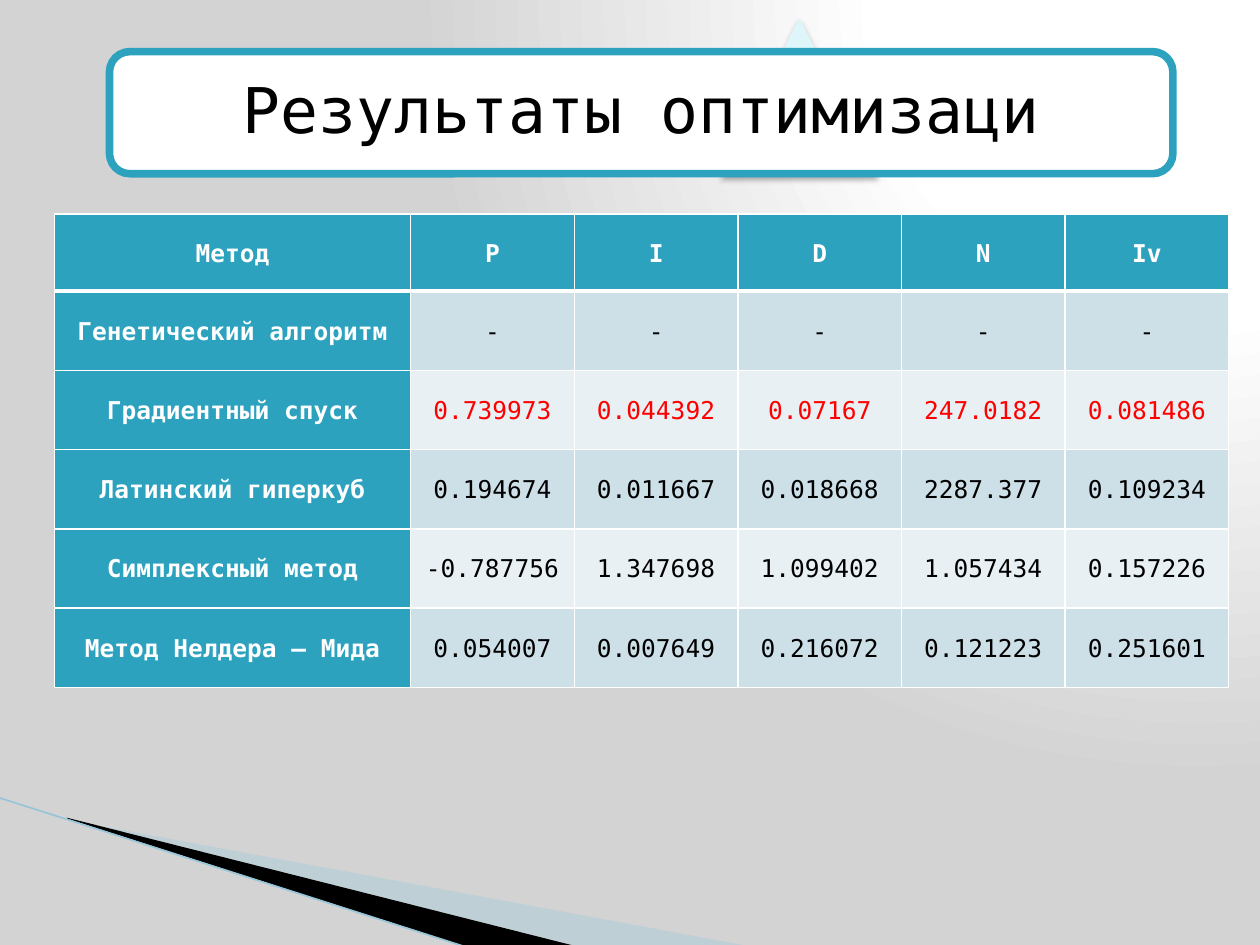
from pptx import Presentation
from pptx.dml.color import RGBColor
from pptx.enum.shapes import MSO_CONNECTOR, MSO_SHAPE as Preset
from pptx.enum.text import MSO_ANCHOR as Anchor, PP_ALIGN as Align
from pptx.oxml import parse_xml
from pptx.oxml.ns import nsdecls
from pptx.util import Pt

FACE = "DejaVu Sans Mono"
TEAL, WHITE, BLACK, RED = "2DA2BF", "FFFFFF", "000000", "FF0000"
BANDS = ["CDE0E8", "E8F0F4"]


def color(value):
    return RGBColor.from_string(value)


def write(frame, text, ink, line_spacing, margins, **font_format):
    frame.word_wrap = True
    paragraph = frame.paragraphs[0]
    paragraph.alignment = Align.CENTER
    paragraph.line_spacing = line_spacing
    run = paragraph.add_run()
    run.text = text
    for key, value in {"name": FACE, **font_format}.items():
        setattr(run.font, key, value)
    run.font.color.rgb = color(ink)
    for key, value in margins.items():
        setattr(frame, key, Pt(value))


prs = Presentation()
prs.slide_width, prs.slide_height = Pt(720), Pt(540)
slide = prs.slides.add_slide(prs.slide_layouts[6])
shapes = slide.shapes

# Background: white glow from the upper right into grey
backdrop = slide.background.fill
backdrop.solid()
backdrop.fore_color.rgb = color(WHITE)
bg_pr = slide.element.cSld.bg.bgPr
stops = "".join(
    f'<a:gs pos="{position * 1000}"><a:srgbClr val="{tone}"/></a:gs>'
    for position, tone in [(0, WHITE), (40, WHITE), (100, "D3D3D3")])
bg_pr.replace(bg_pr[0], parse_xml(
    f'<a:gradFill {nsdecls("a")} rotWithShape="1"><a:gsLst>{stops}</a:gsLst>'
    '<a:path path="circle"><a:fillToRect l="95000" t="-106000" r="5000" b="206000"/>'
    '</a:path></a:gradFill>'))

# Corner wedges
wedges = [
    ("A0CBDC", 40, [(39.6, 468.7), (428.4, 540.7), (328.3, 540.7), (39.6, 468)]),
    (BLACK, 100, [(38.2, 467.3), (329, 540.7), (267.8, 541.4), (38.9, 468)]),
]
for tone, opacity, corners in wedges:
    (start, *rest) = [(Pt(x), Pt(y)) for x, y in corners]
    outline = shapes.build_freeform(*start)
    outline.add_line_segments(rest, close=True)
    wedge = outline.convert_to_shape()
    wedge.shadow.inherit = False
    wedge.fill.solid()
    wedge.fill.fore_color.rgb = color(tone)
    wedge.line.fill.background()
    if opacity < 100:
        wedge.fill._xPr.solidFill[0].append(
            parse_xml(f'<a:alpha {nsdecls("a")} val="{opacity * 1000}"/>'))

# Thin edge line along the wedges
edge = shapes.add_connector(MSO_CONNECTOR.STRAIGHT, Pt(-0.7), Pt(455.8), Pt(267.1), Pt(541.4))
edge.line.color.rgb = color("97C5D8")
edge.line.width = Pt(0.95)
edge._element.spPr.append(parse_xml(f'<a:effectLst {nsdecls("a")}/>'))

# Results table
results = [
    ["Метод", "P", "I", "D", "N", "Iv"],
    ["Генетический алгоритм", "-", "-", "-", "-", "-"],
    ["Градиентный спуск", "0.739973", "0.044392", "0.07167", "247.0182", "0.081486"],
    ["Латинский гиперкуб", "0.194674", "0.011667", "0.018668", "2287.377", "0.109234"],
    ["Симплексный метод", "-0.787756", "1.347698", "1.099402", "1.057434", "0.157226"],
    ["Метод Нелдера – Мида", "0.054007", "0.007649", "0.216072", "0.121223", "0.251601"],
]
best_row = 2
column_widths = [203.5] + [93.5] * 5
row_heights = [43.9] + [45.3] * 5
table = shapes.add_table(len(results), len(column_widths), Pt(31.2), Pt(122.4),
                         Pt(sum(column_widths)), Pt(sum(row_heights))).table
for column, width in zip(table.columns, column_widths):
    column.width = Pt(width)
for row, height in zip(table.rows, row_heights):
    row.height = Pt(height)

cell_margins = {}
for r, values in enumerate(results):
    for c, value in enumerate(values):
        cell = table.cell(r, c)
        heading = r == 0 or c == 0
        ink = WHITE if heading else RED if r == best_row else BLACK
        write(cell.text_frame, value, ink, 1.07, cell_margins, size=Pt(14), bold=heading)
        cell.vertical_anchor = Anchor.MIDDLE
        cell.margin_left = cell.margin_right = Pt(5)
        cell.margin_top = cell.margin_bottom = Pt(0)
        # White rules, heavier under the header row
        for side in "LRTB":
            weight = 3 if (r, side) in [(0, "B"), (1, "T")] else 1
            cell._tc.get_or_add_tcPr().append(parse_xml(
                f'<a:ln{side} {nsdecls("a")} w="{Pt(weight)}"><a:solidFill>'
                f'<a:srgbClr val="{WHITE}"/></a:solidFill></a:ln{side}>'))
        cell.fill.solid()
        cell.fill.fore_color.rgb = color(TEAL if heading else BANDS[(r - 1) % 2])

# Title plate over a pale triangle
plates = [
    (Preset.ISOSCELES_TRIANGLE, (411.8, 10.1, 90, 90), "DEF5FA", None),
    (Preset.ROUNDED_RECTANGLE, (62.6, 29.5, 607.7, 69.8), WHITE, TEAL),
]
for preset, box, tone, border in plates:
    plate = shapes.add_shape(preset, *map(Pt, box))
    plate.shadow.inherit = False
    plate.fill.solid()
    plate.fill.fore_color.rgb = color(tone)
    if border:
        plate.line.color.rgb = color(border)
        plate.line.width = Pt(4.33)
    else:
        plate.line.fill.background()
        plate._element.spPr.find(".//{*}effectLst").append(parse_xml(
            f'<a:outerShdw {nsdecls("a")} blurRad="{Pt(3.5)}" dist="{Pt(2.2)}" '
            f'dir="5400000" rotWithShape="0"><a:srgbClr val="{BLACK}">'
            '<a:alpha val="32000"/></a:srgbClr></a:outerShdw>'))

# Title text
title = shapes.add_textbox(Pt(66.2), Pt(33.1), Pt(600.5), Pt(63.4)).text_frame
title_margins = {f"margin_{side}": 10.8 for side in ["left", "top", "right", "bottom"]}
write(title, "Результаты оптимизаци", BLACK, 0.9, title_margins, size=Pt(36))
title.vertical_anchor = Anchor.MIDDLE

prs.save("out.pptx")
